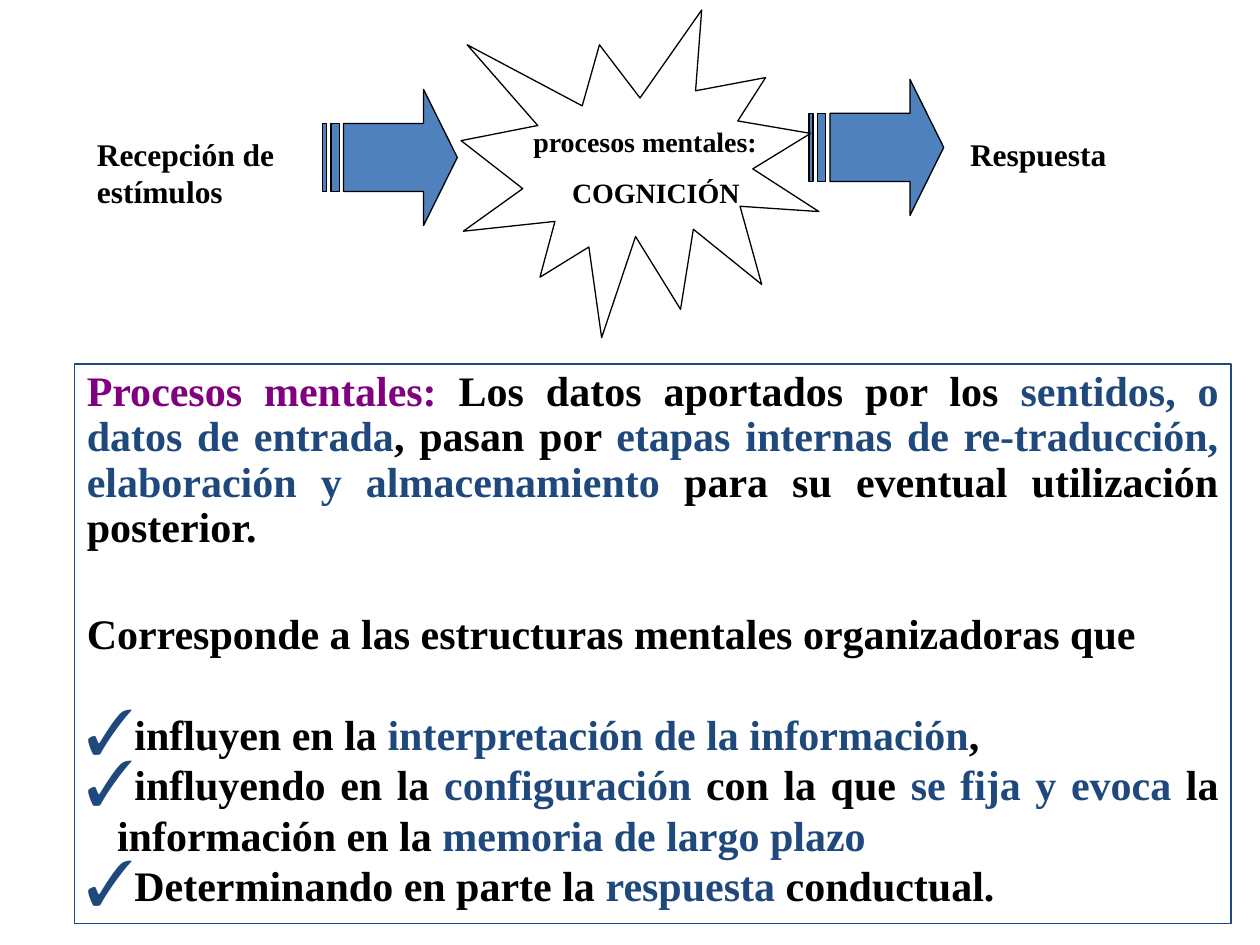
"""Build a slide on mental processes: stimulus, cognition and response."""
from dataclasses import dataclass

from lxml import etree
from pptx import Presentation
from pptx.dml.color import RGBColor
from pptx.enum.shapes import MSO_SHAPE
from pptx.enum.text import MSO_ANCHOR, PP_ALIGN
from pptx.oxml.ns import qn
from pptx.util import Inches, Pt

BLACK = RGBColor(0x00, 0x00, 0x00)
BLUE = RGBColor(0x4F, 0x81, 0xBD)
NAVY = RGBColor(0x1F, 0x49, 0x7D)
PURPLE = RGBColor(0x80, 0x00, 0x80)
FONT = "Times New Roman"
ARROW = MSO_SHAPE.STRIPED_RIGHT_ARROW
BURST = MSO_SHAPE.EXPLOSION1
RECTANGLE = MSO_SHAPE.RECTANGLE
LEFT, CENTER, JUSTIFY = PP_ALIGN.LEFT, PP_ALIGN.CENTER, PP_ALIGN.JUSTIFY
TOP = MSO_ANCHOR.TOP


@dataclass(frozen=True)
class Box:
    left: float
    top: float
    width: float
    height: float

    def lengths(self) -> list[Inches]:
        return [Inches(value) for value in (self.left, self.top, self.width, self.height)]


@dataclass(frozen=True)
class TextLine:
    runs: tuple[tuple[str, RGBColor], ...]
    size: float
    alignment: PP_ALIGN = LEFT
    space_before: float = 0
    line_spacing: float = 1.0
    margin: float = 0
    bullet: bool = False


@dataclass(frozen=True)
class Stage:
    arrow: Box
    label: Box
    text: str


STAGES = (
    Stage(Box(2.56, 0.71, 1.07, 1.08), Box(0.67, 1.02, 1.65, 0.7), "Recepción de estímulos"),
    Stage(Box(6.42, 0.63, 1.07, 1.08), Box(7.6, 1.02, 1.65, 0.4), "Respuesta"),
)
COGNITION_LINES = (
    TextLine((("procesos mentales:", BLACK),), 16, CENTER),
    TextLine((("COGNICIÓN", BLACK),), 16, CENTER, space_before=10, margin=0.17),
)
BULLETS = (
    (("influyen en la ", BLACK), ("interpretación de la información", NAVY), (",", BLACK)),
    (
        ("influyendo en la ", BLACK),
        ("configuración ", NAVY),
        ("con la que ", BLACK),
        ("se fija y evoca", NAVY),
        (" la información en la ", BLACK),
        ("memoria de largo plazo", NAVY),
    ),
    (("Determinando en parte la ", BLACK), ("respuesta ", NAVY), ("conductual.", BLACK)),
)
DEFINITION_LINES = (
    TextLine(
        (
            ("Procesos mentales:", PURPLE),
            (" Los datos aportados por los ", BLACK),
            ("sentidos, o datos de entrada", NAVY),
            (", pasan por ", BLACK),
            ("etapas internas de re-traducción, elaboración y almacenamiento", NAVY),
            (" para su eventual utilización posterior.", BLACK),
        ),
        24, JUSTIFY, line_spacing=0.9,
    ),
    TextLine(
        (("Corresponde a las estructuras mentales organizadoras que", BLACK),),
        24, JUSTIFY, space_before=32,
    ),
    *(
        TextLine(runs, 24, JUSTIFY, 0 if index else 28.7, margin=0.24, bullet=True)
        for index, runs in enumerate(BULLETS)
    ),
)


def add_bullet(paragraph) -> None:
    properties = paragraph._p.get_or_add_pPr()
    color = etree.SubElement(properties, qn("a:buClr"))
    etree.SubElement(color, qn("a:srgbClr"), val=str(NAVY))
    etree.SubElement(properties, qn("a:buSzPct"), val="150000")
    etree.SubElement(properties, qn("a:buFont"), typeface=FONT)
    etree.SubElement(properties, qn("a:buChar"), char="✓")


def write_lines(text_frame, lines: tuple[TextLine, ...]) -> None:
    text_frame.word_wrap = True
    text_frame.vertical_anchor = TOP
    for index, line in enumerate(lines):
        paragraph = text_frame.add_paragraph() if index else text_frame.paragraphs[0]
        properties = paragraph._p.get_or_add_pPr()
        properties.set("marL", str(Inches(line.margin)))
        properties.set("indent", str(-Inches(line.margin) if line.bullet else 0))
        paragraph.alignment = line.alignment
        paragraph.line_spacing = line.line_spacing
        if line.space_before:
            paragraph.space_before = Pt(line.space_before)
        if line.bullet:
            add_bullet(paragraph)
        paragraph.font.name = FONT
        paragraph.font.size = Pt(line.size)
        paragraph.font.bold = True
        for text, color in line.runs:
            run = paragraph.add_run()
            run.text = text
            run.font.color.rgb = color


def add_outline(slide, kind: MSO_SHAPE, box: Box, line_color: RGBColor, fill: RGBColor | None = None):
    shape = slide.shapes.add_shape(kind, *box.lengths())
    shape.shadow.inherit = False
    shape.line.color.rgb = line_color
    shape.line.width = Pt(0.75)
    if fill is None:
        shape.fill.background()
    else:
        shape.fill.solid()
        shape.fill.fore_color.rgb = fill
    return shape


def add_text(slide, box: Box, lines: tuple[TextLine, ...]) -> None:
    write_lines(slide.shapes.add_textbox(*box.lengths()).text_frame, lines)


def main() -> None:
    presentation = Presentation()
    presentation.slide_width = Inches(10)
    presentation.slide_height = Inches(7.5)
    slide = presentation.slides.add_slide(presentation.slide_layouts[6])
    for stage in STAGES:
        arrow = add_outline(slide, ARROW, stage.arrow, BLACK, BLUE)
        arrow.adjustments[0] = 0.5
        arrow.adjustments[1] = 0.25
        add_text(slide, stage.label, (TextLine(((stage.text, BLACK),), 18),))
    add_outline(slide, BURST, Box(3.66, 0.08, 2.84, 2.6), BLACK)
    add_text(slide, Box(3.98, 0.94, 2.28, 0.77), COGNITION_LINES)
    definition = add_outline(slide, RECTANGLE, Box(0.59, 2.89, 9.18, 4.44), NAVY)
    write_lines(definition.text_frame, DEFINITION_LINES)
    presentation.save("out.pptx")


if __name__ == "__main__":
    main()
